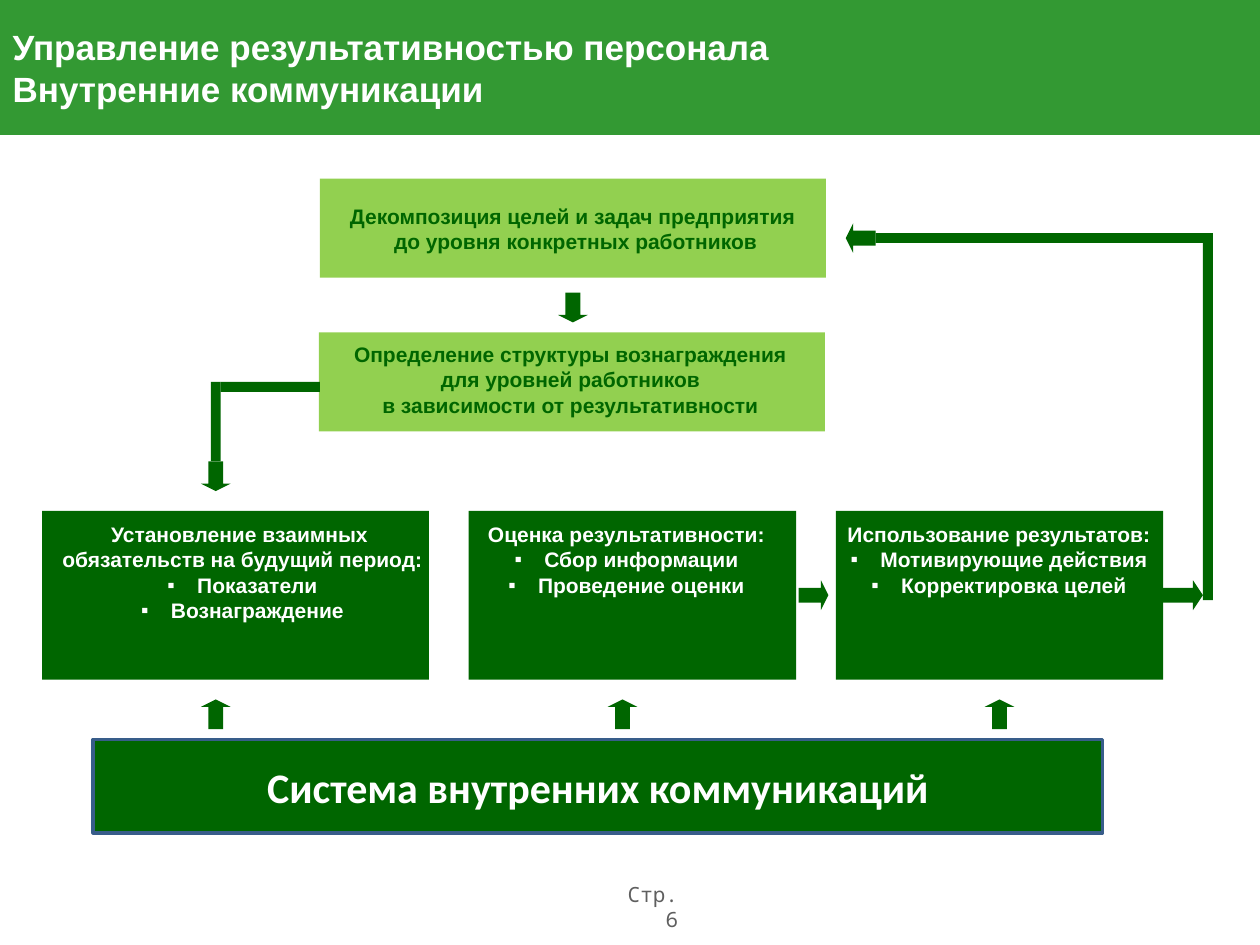
from lxml.etree import SubElement
from pptx import Presentation
from pptx.dml.color import RGBColor
from pptx.enum.shapes import MSO_SHAPE as Shape
from pptx.enum.text import MSO_ANCHOR as Anchor, MSO_AUTO_SIZE as AutoSize, PP_ALIGN as Align
from pptx.oxml.ns import qn
from pptx.util import Cm, Pt

WHITE = RGBColor(0xFF, 0xFF, 0xFF)
GREY = RGBColor(0x5F, 0x5F, 0x5F)
BAND_GREEN = RGBColor(0x33, 0x99, 0x33)
DARK_GREEN = RGBColor(0x00, 0x66, 0x00)
LIGHT_GREEN = RGBColor(0x92, 0xD0, 0x50)
BORDER_BLUE = RGBColor(0x38, 0x5D, 0x8A)

ARROW = 0.6
BAR = 0.2
STAGE_TOP, STAGE_HEIGHT = 10.3, 3.4
STAGE_ARROW_TOP = 11.7


class SlideBuilder:
    font = "Arial"
    size = 12

    def __init__(self, page):
        self.page = page

    def add_span(self, para, text, color, size=None, font=None, bold=True):
        span = para.add_run()
        span.text = text
        span.font.name = font or self.font
        span.font.size = Pt(size or self.size)
        span.font.bold = bold
        span.font.color.rgb = color

    def title(self, lines, height):
        box = self.page.shapes.title
        box.left, box.top, box.width, box.height = Cm(0), Cm(0), Cm(25.4), Cm(height)
        box.fill.solid()
        box.fill.fore_color.rgb = BAND_GREEN
        frame = box.text_frame
        frame.auto_size = AutoSize.NONE
        frame.vertical_anchor = Anchor.MIDDLE
        para = frame.paragraphs[0]
        para.alignment = Align.LEFT
        for index, line in enumerate(lines):
            if index:
                para.add_line_break()
            self.add_span(para, line, WHITE, size=20)

    def block(self, left, top, width, height, color=DARK_GREEN, kind=Shape.RECTANGLE):
        box = self.page.shapes.add_shape(kind, Cm(left), Cm(top), Cm(width), Cm(height))
        box.shadow.inherit = False
        box.fill.solid()
        box.fill.fore_color.rgb = color
        box.line.fill.background()
        return box

    def arrow(self, kind, left, top, width=ARROW):
        box = self.block(left, top, width, ARROW, kind=kind)
        box.adjustments[0] = 0.5
        box.adjustments[1] = 0.25 * width / ARROW

    def banner(self, text, left, top, width, height):
        box = self.block(left, top, width, height)
        box.line.color.rgb = BORDER_BLUE
        box.line.width = Pt(2)
        box.text_frame.vertical_anchor = Anchor.MIDDLE
        para = box.text_frame.paragraphs[0]
        para.alignment = Align.CENTER
        self.add_span(para, text, WHITE, size=24, font="Calibri")

    def bullet(self, para):
        props = para._p.get_or_add_pPr()
        props.set("marL", str(Cm(0.6)))
        props.set("indent", str(Cm(-0.6)))
        color = SubElement(props, qn("a:buClr"))
        SubElement(color, qn("a:srgbClr"), val=str(WHITE))
        SubElement(props, qn("a:buFont"), typeface=self.font)
        SubElement(props, qn("a:buChar"), char="▪")

    def caption(self, left, top, width, color, lines, bullets=()):
        height = 0.51 * (len(lines) + len(bullets))
        box = self.page.shapes.add_textbox(Cm(left), Cm(top), Cm(width), Cm(height))
        frame = box.text_frame
        frame.word_wrap = False
        frame.auto_size = AutoSize.SHAPE_TO_FIT_TEXT
        frame.margin_left = frame.margin_right = frame.margin_top = frame.margin_bottom = 0
        for index, line in enumerate([*lines, *bullets]):
            para = frame.add_paragraph() if index else frame.paragraphs[0]
            para.alignment = Align.CENTER
            if index >= len(lines):
                self.bullet(para)
            self.add_span(para, line, color)

    def page_number(self, text, left, top, width, height):
        box = self.page.shapes.add_textbox(Cm(left), Cm(top), Cm(width), Cm(height))
        box.text_frame.word_wrap = True
        para = box.text_frame.paragraphs[0]
        para.alignment = Align.RIGHT
        self.add_span(para, text, GREY, font="Noto Sans Mono", bold=False)


def main():
    deck = Presentation()
    deck.slide_width, deck.slide_height = Cm(25.4), Cm(19.05)
    slide = SlideBuilder(deck.slides.add_slide(deck.slide_layouts[5]))

    slide.title(["Управление результативностью персонала", "Внутренние коммуникации"], 2.72)
    slide.page_number("Стр. 6", 12.12, 17.65, 1.8, 0.84)

    goals = [
        (6.45, 3.6, 7.03, 4.1, 9.15,
         ["Декомпозиция целей и задач предприятия ", "до уровня конкретных работников"]),
        (6.43, 6.7, 7.13, 6.89, 8.86,
         ["Определение структуры вознаграждения ", "для уровней работников ",
          "в зависимости от результативности "]),
    ]
    for left, top, text_left, text_top, text_width, lines in goals:
        slide.block(left, top, 10.2, 2, LIGHT_GREEN)
        slide.caption(text_left, text_top, text_width, DARK_GREEN, lines)

    stages = [
        (0.85, 7.8, 1.25, 7.28,
         ["Установление взаимных ", "обязательств на будущий период:"],
         ["Показатели", "Вознаграждение"]),
        (9.45, 6.6, 9.81, 5.64,
         ["Оценка результативности:"], ["Сбор информации", "Проведение оценки"]),
        (16.85, 6.6, 17.04, 6.2,
         ["Использование результатов:"], ["Мотивирующие действия", "Корректировка целей"]),
    ]
    for left, width, text_left, text_width, lines, bullets in stages:
        slide.block(left, STAGE_TOP, width, STAGE_HEIGHT)
        slide.caption(text_left, 10.52, text_width, WHITE, lines, bullets)

    for left, top, width, height in [
        (24.25, 4.7, BAR, 7.4),
        (17.65, 4.7, 6.8, BAR),
        (4.45, 7.7, 2, BAR),
        (4.25, 7.7, BAR, 1.6),
    ]:
        slide.block(left, top, width, height)

    slide.arrow(Shape.DOWN_ARROW, 11.25, 5.9)
    slide.arrow(Shape.DOWN_ARROW, 4.05, 9.3)
    slide.arrow(Shape.LEFT_ARROW, 17.05, 4.5)
    slide.arrow(Shape.RIGHT_ARROW, 16.1, STAGE_ARROW_TOP)
    slide.arrow(Shape.RIGHT_ARROW, 23.45, STAGE_ARROW_TOP, 0.8)
    for left in (4.05, 12.25, 19.85):
        slide.arrow(Shape.UP_ARROW, left, 14.1)

    slide.banner("Система внутренних коммуникаций", 1.88, 14.91, 20.35, 1.88)
    deck.save("out.pptx")


if __name__ == "__main__":
    main()
